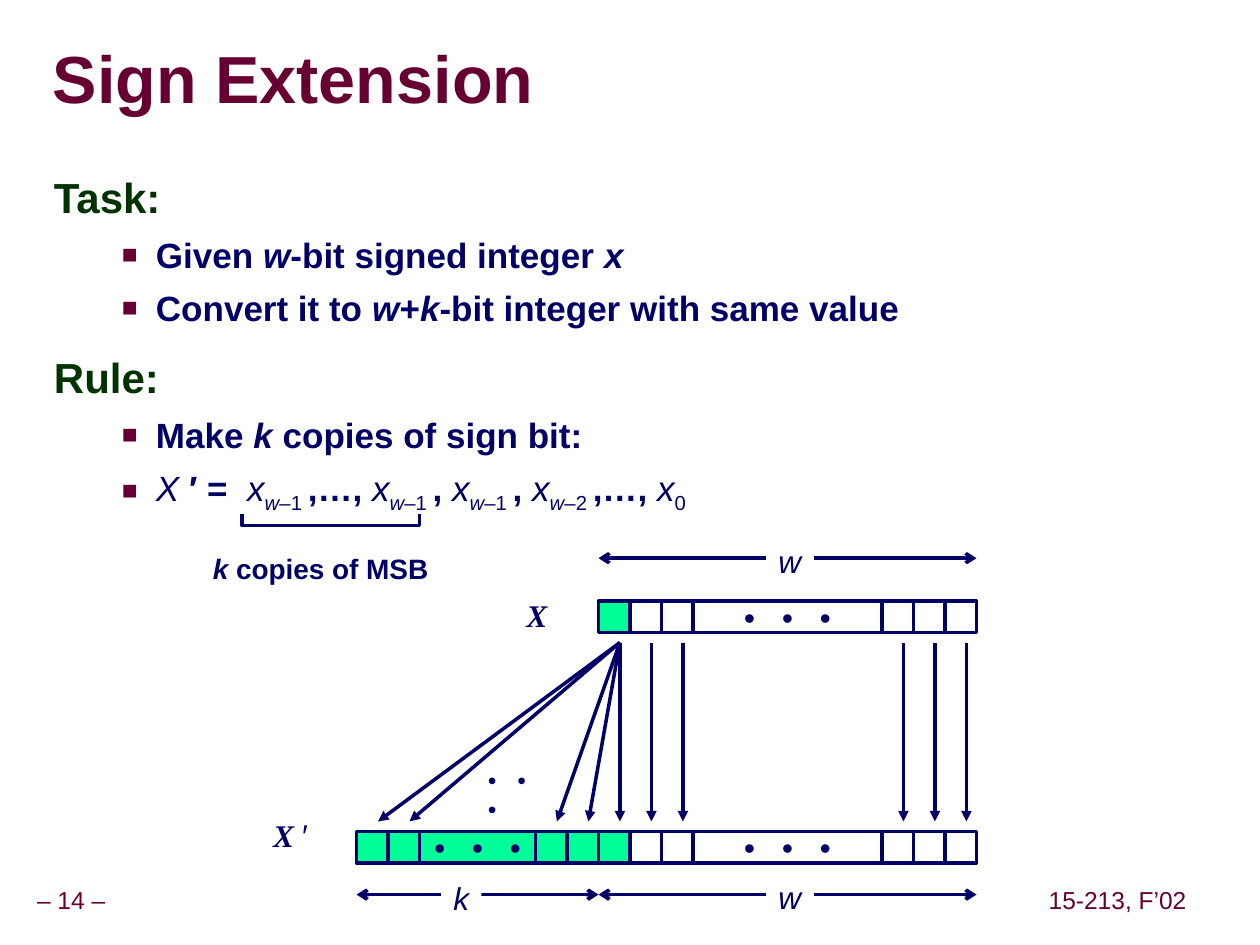
from typing import NamedTuple, Optional

from lxml.etree import SubElement
from pptx import Presentation
from pptx.dml.color import RGBColor
from pptx.enum.shapes import MSO_CONNECTOR, MSO_SHAPE
from pptx.enum.text import MSO_ANCHOR, MSO_AUTO_SIZE, PP_ALIGN
from pptx.oxml import parse_xml
from pptx.oxml.ns import nsdecls, qn
from pptx.util import Inches, Pt

NAVY, MAROON, FOREST, GREEN, WHITE = "000066", "660033", "003300", "00FF99", "FFFFFF"
DOTS = "• • •"
BIT = 0.25
WORD_LEFT, WORD_RIGHT, EXTENDED_LEFT = 4.75, 7.75, 2.83
X_TOP, EXTENDED_TOP = 4.77, 6.6


class Run(NamedTuple):
    text: str
    bold: bool = True
    italic: bool = False
    subscript: bool = False
    font: Optional[str] = None


class Label(NamedTuple):
    left: float
    top: float
    width: float
    height: float
    runs: list[Run]
    size: float
    color: str = NAVY
    font: str = "Arial"
    fill: Optional[str] = None


class Cell(NamedTuple):
    left: float
    top: float
    width: float
    fill: str
    text: str = ""


class Arrow(NamedTuple):
    start: tuple[float, float]
    end: tuple[float, float]
    head: Optional[str] = None
    tail: str = "triangle"


def rgb(value: str) -> RGBColor:
    """Turn a hex string into a colour."""
    return RGBColor.from_string(value)


def write_runs(paragraph, runs: list[Run], size: float, color: str, font: str) -> None:
    """Append formatted runs to a paragraph."""
    for item in runs:
        run = paragraph.add_run()
        run.text = item.text
        run.font.name = item.font or font
        run.font.size = Pt(size)
        run.font.bold = item.bold
        run.font.italic = item.italic
        run.font.color.rgb = rgb(color)
        if item.subscript:
            run.font._element.set("baseline", "-25000")


def add_label(slide, label: Label):
    """Add a one-line text box that does not wrap."""
    shape = slide.shapes.add_textbox(*map(Inches, label[:4]))
    if label.fill:
        shape.fill.solid()
        shape.fill.fore_color.rgb = rgb(label.fill)
    shape.text_frame.word_wrap = False
    shape.text_frame.auto_size = MSO_AUTO_SIZE.SHAPE_TO_FIT_TEXT
    write_runs(shape.text_frame.paragraphs[0], label.runs, label.size, label.color, label.font)
    return shape


def add_footer(slide, left: float, width: float, text: str) -> None:
    """Add a centred footer text."""
    shape = add_label(slide, Label(left, 7, width, 0.31, [Run(text, bold=False)], 14, MAROON))
    frame = shape.text_frame
    frame.vertical_anchor = MSO_ANCHOR.MIDDLE
    frame.margin_left = frame.margin_right = Inches(0.05)
    frame.paragraphs[0].alignment = PP_ALIGN.CENTER
    frame.paragraphs[0].line_spacing = 0.9


def add_title(slide, text: str) -> None:
    """Add the title with its text shadow."""
    shape = slide.shapes.add_textbox(Inches(0.42), Inches(0.35), Inches(6.68), Inches(0.61))
    frame = shape.text_frame
    frame.word_wrap = True
    frame.vertical_anchor = MSO_ANCHOR.MIDDLE
    frame.margin_left = frame.margin_right = frame.margin_top = frame.margin_bottom = 0
    paragraph = frame.paragraphs[0]
    paragraph.line_spacing = 0.87
    write_runs(paragraph, [Run(text)], 38, MAROON, "Arial")
    shadow = parse_xml(
        f'<a:effectLst {nsdecls("a")}><a:outerShdw dist="35921" dir="2700000">'
        '<a:srgbClr val="808080"/></a:outerShdw></a:effectLst>'
    )
    paragraph.runs[0].font._element.find(qn("a:solidFill")).addnext(shadow)


def add_bullet(paragraph) -> None:
    """Give a paragraph a square bullet and a hanging indent."""
    properties = paragraph._p.get_or_add_pPr()
    properties.set("marL", str(Inches(0.81)))
    properties.set("indent", str(Inches(-0.27)))
    color = SubElement(properties, qn("a:buClr"))
    SubElement(color, qn("a:srgbClr"), val=MAROON)
    SubElement(properties, qn("a:buSzPct"), val="75000")
    SubElement(properties, qn("a:buFont"), typeface="Arial")
    SubElement(properties, qn("a:buChar"), char="■")


def add_body(slide, sections: dict[str, list[list[Run]]]) -> None:
    """Add headings with their bulleted lines."""
    shape = slide.shapes.add_textbox(Inches(0.33), Inches(1.34), Inches(9.07), Inches(5.71))
    frame = shape.text_frame
    frame.word_wrap = True
    for number, (heading, lines) in enumerate(sections.items()):
        paragraph = frame.add_paragraph() if number else frame.paragraphs[0]
        paragraph.line_spacing = 0.95
        paragraph.space_before = Pt(15 if number else 0)
        write_runs(paragraph, [Run(heading)], 24, FOREST, "Arial")
        for runs in lines:
            paragraph = frame.add_paragraph()
            paragraph.level = 1
            paragraph.space_before = Pt(6.2)
            add_bullet(paragraph)
            write_runs(paragraph, runs, 20, NAVY, "Arial")


def add_cell(slide, cell: Cell) -> None:
    """Add one outlined cell of a bit row."""
    box = map(Inches, (cell.left, cell.top, cell.width, BIT))
    shape = slide.shapes.add_shape(MSO_SHAPE.RECTANGLE, *box)
    shape.shadow.inherit = False
    shape.fill.solid()
    shape.fill.fore_color.rgb = rgb(cell.fill)
    shape.line.color.rgb = rgb(NAVY)
    shape.line.width = Pt(2)
    if cell.text:
        frame = shape.text_frame
        frame.word_wrap = False
        frame.vertical_anchor = MSO_ANCHOR.MIDDLE
        frame.paragraphs[0].alignment = PP_ALIGN.CENTER
        write_runs(frame.paragraphs[0], [Run(cell.text, bold=False)], 18, NAVY, "Courier New")


def add_word(slide, top: float) -> None:
    """Add the row of w bits, sign bit first."""
    for index in range(3):
        add_cell(slide, Cell(WORD_LEFT + index * BIT, top, BIT, WHITE if index else GREEN))
        add_cell(slide, Cell(WORD_RIGHT - (3 - index) * BIT, top, BIT, WHITE))
    add_cell(slide, Cell(WORD_LEFT + 3 * BIT, top, 1.5, WHITE, DOTS))


def add_arrow(slide, arrow: Arrow) -> None:
    """Add a straight line with arrowheads."""
    points = map(Inches, (*arrow.start, *arrow.end))
    connector = slide.shapes.add_connector(MSO_CONNECTOR.STRAIGHT, *points)
    connector.line.color.rgb = rgb(NAVY)
    connector.line.width = Pt(2)
    line = connector.line._get_or_add_ln()
    if arrow.head:
        SubElement(line, qn("a:headEnd"), type=arrow.head)
    SubElement(line, qn("a:tailEnd"), type=arrow.tail)
    SubElement(connector._element.spPr, qn("a:effectLst"))


def add_bracket(slide) -> None:
    """Add the bracket under the copied sign bits."""
    builder = slide.shapes.build_freeform(Inches(1.92), Inches(4.08))
    corners = [(1.92, 4.17), (3.33, 4.17), (3.33, 4.08)]
    builder.add_line_segments([(Inches(x), Inches(y)) for x, y in corners], close=False)
    shape = builder.convert_to_shape()
    shape.shadow.inherit = False
    shape.fill.background()
    shape.line.color.rgb = rgb(NAVY)
    shape.line.width = Pt(2)


def variable(name: str) -> Run:
    """Make a bold italic run."""
    return Run(name, italic=True)


def bit(offset: int, separator: str) -> list[Run]:
    """Make the runs of one indexed bit and its separator."""
    return [Run("x", False, True), Run("w", False, True, True),
            Run(f"–{offset} ", False, False, True), Run(separator)]


def main() -> None:
    """Build and save the slide."""
    presentation = Presentation()
    presentation.slide_width, presentation.slide_height = Inches(10), Inches(7.5)
    slide = presentation.slides.add_slide(presentation.slide_layouts[6])
    add_footer(slide, -0.09, 1.31, "– 14 –")
    add_footer(slide, 8.27, 1.2, "15-213, F’02")
    add_title(slide, "Sign Extension")
    add_body(slide, {
        "Task:": [
            [Run("Given "), variable("w"), Run("-bit signed integer "), variable("x")],
            [Run("Convert it to "), variable("w"), Run("+"), variable("k"),
             Run("-bit integer with same value")],
        ],
        "Rule:": [
            [Run("Make "), variable("k"), Run(" copies of sign bit:")],
            [Run("X ", False, True), Run("′ =  "), *bit(1, ",…, "), *bit(1, ", "),
             *bit(1, ", "), *bit(2, ",…, "), Run("x", False, True), Run("0", False, False, True)],
        ],
    })
    add_bracket(slide)
    add_word(slide, X_TOP)
    add_word(slide, EXTENDED_TOP)
    for left in (EXTENDED_LEFT, EXTENDED_LEFT + BIT, WORD_LEFT - 2 * BIT, WORD_LEFT - BIT):
        add_cell(slide, Cell(left, EXTENDED_TOP, BIT, GREEN))
    add_cell(slide, Cell(3.33, EXTENDED_TOP, 0.92, GREEN, DOTS))
    for target in (4.92, 4.67, 4.42, 3.25, 3):
        add_arrow(slide, Arrow((4.92, 5.1), (target, 6.52)))
    for x in (5.17, 5.42, 7.17, 7.42, 7.67):
        add_arrow(slide, Arrow((x, 5.1), (x, 6.52)))
    for left, right, y in ((WORD_LEFT, WORD_RIGHT, 4.43), (WORD_LEFT, WORD_RIGHT, 7.1),
                           (EXTENDED_LEFT, WORD_LEFT, 7.1)):
        add_arrow(slide, Arrow((left, y), (right, y), "arrow", "arrow"))
    width_run, count_run = Run("w", False, True), Run("k", False, True)
    for label in (
        Label(1.59, 4.33, 1.91, 0.36, [variable("k"), Run(" copies of MSB")], 16),
        Label(4.08, 4.68, 0.43, 0.4, [variable("X")], 18, font="Times New Roman"),
        Label(2.07, 6.43, 0.51, 0.4, [variable("X "), Run("′", False, font="Arial")], 18,
              font="Times New Roman"),
        Label(3.75, 6.02, 0.78, 0.34, [Run(DOTS, False)], 14, font="Courier New"),
        Label(6.08, 4.25, 0.38, 0.4, [width_run], 18, fill=WHITE),
        Label(6.08, 6.92, 0.38, 0.4, [width_run], 18, fill=WHITE),
        Label(3.5, 6.93, 0.32, 0.4, [count_run], 18, fill=WHITE),
    ):
        add_label(slide, label)
    presentation.save("out.pptx")


if __name__ == "__main__":
    main()
